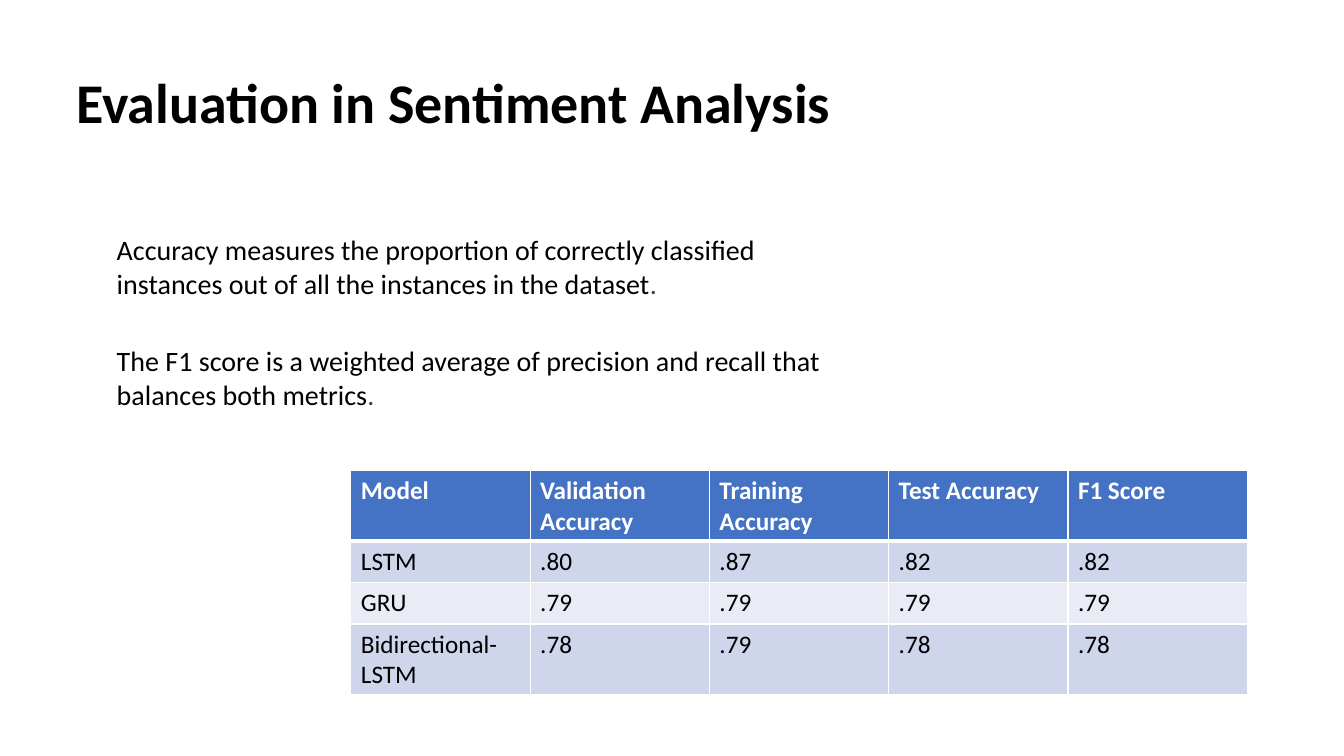
from lxml import etree
from pptx import Presentation
from pptx.dml.color import RGBColor
from pptx.oxml import ns
from pptx.util import Inches, Pt

FONT = "Calibri"
COLORS = {
    "text": "000000",
    "period": "374151",
    "header": "4472C4",
    "odd": "CFD5EA",
    "even": "E9EBF5",
    "white": "FFFFFF",
}
DEFINITIONS = [
    (1.06, 2.26, 6.54, 0.77,
     "Accuracy measures the proportion of correctly classified instances "
     "out of all the instances in the dataset"),
    (1.06, 3.36, 7.66, 0.77,
     "The F1 score is a weighted average of precision and recall "
     "that balances both metrics"),
]
SCORES = [
    ["Model", "Validation Accuracy", "Training Accuracy", "Test Accuracy", "F1 Score"],
    ["LSTM", ".80", ".87", ".82", ".82"],
    ["GRU", ".79", ".79", ".79", ".79"],
    ["Bidirectional-LSTM", ".78", ".79", ".78", ".78"],
]
ROW_HEIGHTS = [0.7, 0.41, 0.41, 0.7]


def color(name):
    return RGBColor.from_string(COLORS[name])


def style(paragraph, size, color_name="text", bold=False):
    font = paragraph.font
    font.name, font.size, font.bold = FONT, Pt(size), bold
    font.color.rgb = color(color_name)


def add_paragraph_box(slide, left, top, width, height):
    """Add a wrapping text box and return its first paragraph."""
    box = slide.shapes.add_textbox(*map(Inches, (left, top, width, height)))
    box.text_frame.word_wrap = True
    return box.text_frame.paragraphs[0]


def add_title(slide, left, top, width, height):
    title = add_paragraph_box(slide, left, top, width, height)
    title.text = "Evaluation in Sentiment Analysis"
    style(title, 40, bold=True)


def add_definition(slide, left, top, width, height, sentence):
    definition = add_paragraph_box(slide, left, top, width, height)
    style(definition, 20)
    for words, color_name in ((sentence, "text"), (".", "period")):
        run = definition.add_run()
        run.text = words
        # Runs differ in colour, so the font is set on each.
        run.font.name, run.font.size = FONT, Pt(20)
        run.font.color.rgb = color(color_name)


def set_borders(cell, top, bottom):
    """Draw white cell borders, with top and bottom widths in points."""
    properties = cell._tc.get_or_add_tcPr()
    sides = {"lnL": 1, "lnR": 1, "lnT": top, "lnB": bottom}
    for position, (side, width) in enumerate(sides.items()):
        line = etree.Element(ns.qn(f"a:{side}"), w=str(Pt(width)))
        fill = etree.SubElement(line, ns.qn("a:solidFill"))
        etree.SubElement(fill, ns.qn("a:srgbClr"), val=COLORS["white"])
        properties.insert(position, line)


def add_score_table(slide, left, top, width):
    frame = slide.shapes.add_table(
        len(SCORES), len(SCORES[0]),
        *map(Inches, (left, top, width, sum(ROW_HEIGHTS))))
    table = frame.table
    for column in table.columns:
        column.width = Inches(width / len(SCORES[0]))
    for r, (scores, height) in enumerate(zip(SCORES, ROW_HEIGHTS)):
        table.rows[r].height = Inches(height)
        is_header = r == 0
        band = "header" if is_header else "odd" if r % 2 else "even"
        for c, score in enumerate(scores):
            cell = table.cell(r, c)
            cell.text = score
            style(cell.text_frame.paragraphs[0], 18,
                  "white" if is_header else "text", is_header)
            cell.fill.solid()
            cell.fill.fore_color.rgb = color(band)
            set_borders(cell, top=3 if r == 1 else 1, bottom=3 if is_header else 1)


def main():
    deck = Presentation()
    deck.slide_width, deck.slide_height = Inches(13.33), Inches(7.5)
    slide = deck.slides.add_slide(deck.slide_layouts[6])
    add_title(slide, 0.66, 0.62, 7.8, 0.77)
    for definition in DEFINITIONS:
        add_definition(slide, *definition)
    add_score_table(slide, 3.48, 4.67, 8.89)
    deck.save("out.pptx")


if __name__ == "__main__":
    main()
